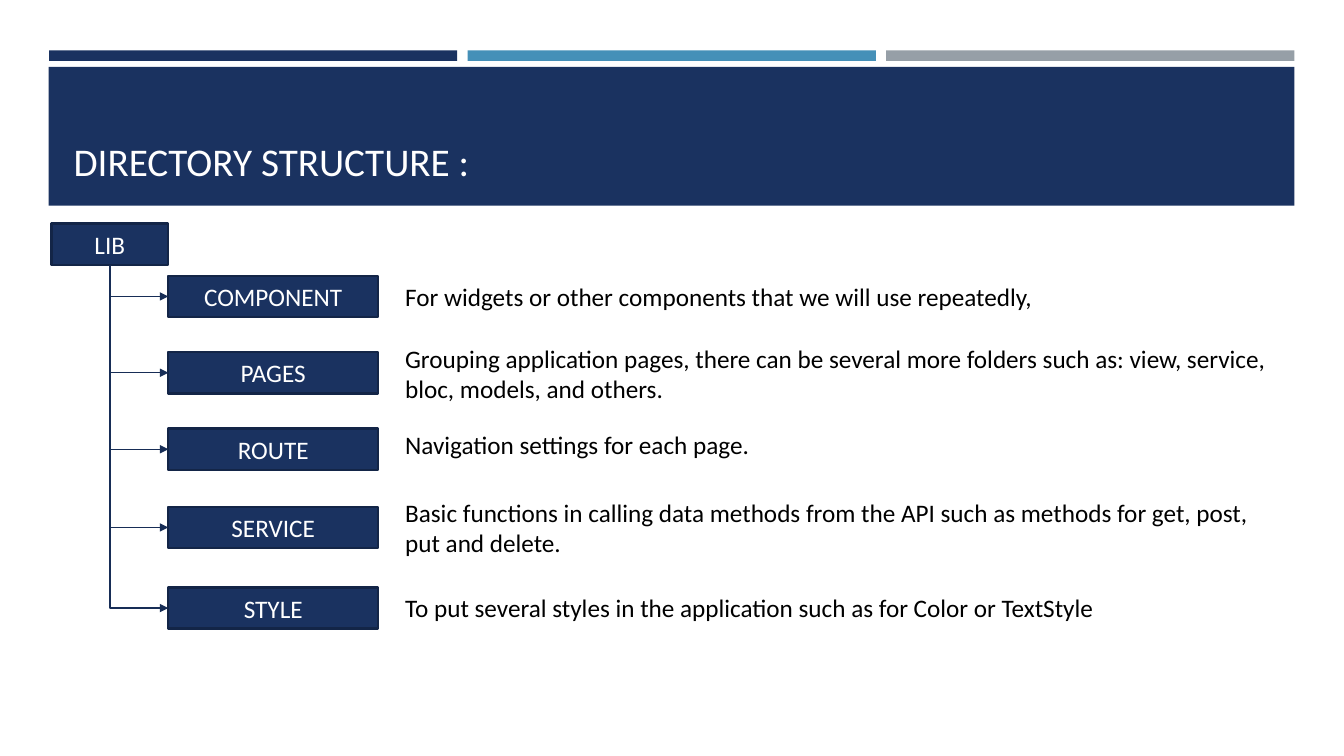
"""Build the directory structure slide: a LIB root, its folders and their purposes."""
from pptx import Presentation
from pptx.dml.color import RGBColor
from pptx.enum import shapes, text
from pptx.oxml import parse_xml
from pptx.oxml.ns import nsdecls
from pptx.util import Pt

COLORS = {
    "navy": "1A3260",
    "blue": "4590B8",
    "grey": "969FA7",
    "outline": "132547",
    "branch": "172D56",
    "white": "FFFFFF",
    "black": "000000",
}
FONT = "Calibri"
BOX_HEIGHT = 29.5
FOLDER_LEFT, FOLDER_WIDTH = 120.2, 150
PURPOSE_LEFT = 282.3

FOLDERS = [
    ("COMPONENT", 197, 197.2, 470, 28.8,
     "For widgets or other components that we will use repeatedly,"),
    ("PAGES", 251.5, 241.5, 638.6, 51,
     "Grouping application pages, there can be several more folders such as: "
     "view, service, bloc, models, and others."),
    ("ROUTE", 306.2, 303, 260.6, 28.8,
     "Navigation settings for each page."),
    ("SERVICE", 362, 351.5, 617.8, 51,
     "Basic functions in calling data methods from the API such as methods "
     "for get, post, put and delete."),
    ("STYLE", 419.6, 419.3, 617.8, 28.8,
     "To put several styles in the application such as for Color or TextStyle"),
]


def color(name):
    return RGBColor.from_string(COLORS[name])


def write(frame, words, size, ink, align, anchor):
    frame.word_wrap = True
    frame.vertical_anchor = anchor
    paragraph = frame.paragraphs[0]
    paragraph.text = words
    paragraph.alignment = align
    paragraph.font.name = FONT
    paragraph.font.size = Pt(size)
    paragraph.font.color.rgb = color(ink)


def add_block(slide, left, top, width, height, fill):
    block = slide.shapes.add_shape(
        shapes.MSO_SHAPE.RECTANGLE, Pt(left), Pt(top), Pt(width), Pt(height))
    block.shadow.inherit = False
    block.fill.solid()
    block.fill.fore_color.rgb = color(fill)
    block.line.fill.background()
    return block


def add_folder(slide, name, left, top, width):
    folder = add_block(slide, left, top, width, BOX_HEIGHT, "navy")
    folder.line.color.rgb = color("outline")
    folder.line.width = Pt(1.75)
    write(folder.text_frame, name, 18, "white",
          text.PP_ALIGN.CENTER, text.MSO_ANCHOR.MIDDLE)
    return folder


def add_purpose(slide, words, top, width, height):
    purpose = slide.shapes.add_textbox(
        Pt(PURPOSE_LEFT), Pt(top), Pt(width), Pt(height))
    write(purpose.text_frame, words, 18, "black",
          text.PP_ALIGN.LEFT, text.MSO_ANCHOR.TOP)


def add_branch(slide, root, folder):
    start_x, start_y = root.left + root.width // 2, root.top + root.height
    end_x, end_y = folder.left, folder.top + folder.height // 2
    run, drop = end_x - start_x, end_y - start_y
    branch = slide.shapes.add_connector(
        shapes.MSO_CONNECTOR.ELBOW, start_x, start_y, end_x, end_y)
    branch.begin_connect(root, 2)
    branch.end_connect(folder, 1)
    branch.left = (start_x + end_x - drop) // 2
    branch.top = (start_y + end_y - run) // 2
    branch.width, branch.height = drop, run
    branch.line.color.rgb = color("branch")
    branch.line.width = Pt(1)
    properties = branch.element.spPr
    properties.xfrm.set("rot", "16200000")
    properties.xfrm.set("flipH", "1")
    properties.prstGeom.set("prst", "bentConnector2")
    properties.get_or_add_ln().append(
        parse_xml(f'<a:tailEnd {nsdecls("a")} type="triangle"/>'))
    properties.append(parse_xml(f'<a:effectLst {nsdecls("a")}/>'))


def add_header(slide):
    for column, fill in enumerate(("navy", "blue", "grey")):
        add_block(slide, 35 + column * 299, 36, 291.6, 7.5, fill)
    add_block(slide, 34.8, 47.8, 889.8, 99.2, "navy")
    title = slide.shapes.title
    title.left, title.top = Pt(45.4), Pt(57.6)
    title.width, title.height = Pt(868.3), Pt(77.8)
    write(title.text_frame, "DIRECTORY STRUCTURE :", 28, "white",
          text.PP_ALIGN.LEFT, text.MSO_ANCHOR.BOTTOM)
    slide.shapes.element.append(title.element)


def main():
    deck = Presentation()
    deck.slide_width, deck.slide_height = Pt(960), Pt(540)
    slide = deck.slides.add_slide(deck.slide_layouts.get_by_name("Title Only"))
    add_header(slide)
    root = add_folder(slide, "LIB", 36.7, 159.8, 83.5)
    for name, top, purpose_top, width, height, words in FOLDERS:
        folder = add_folder(slide, name, FOLDER_LEFT, top, FOLDER_WIDTH)
        add_purpose(slide, words, purpose_top, width, height)
        add_branch(slide, root, folder)
    deck.save("out.pptx")


if __name__ == "__main__":
    main()
